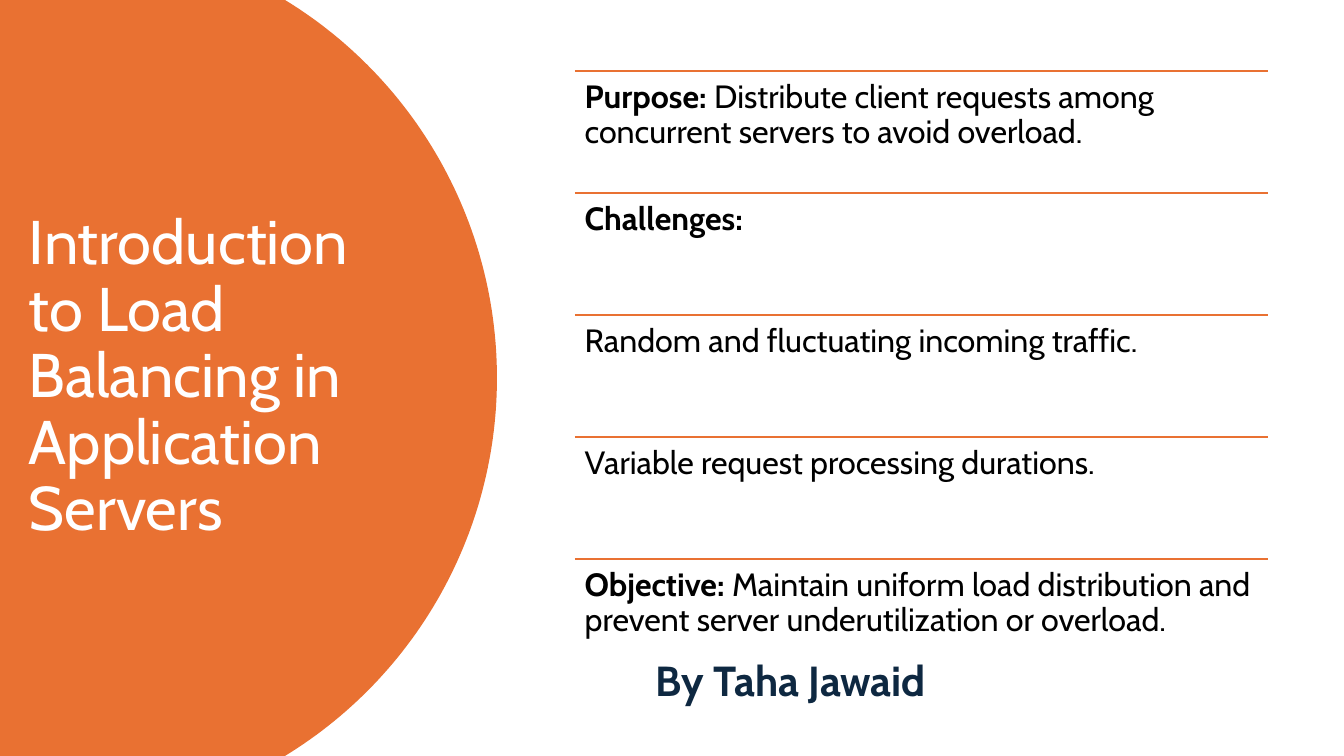
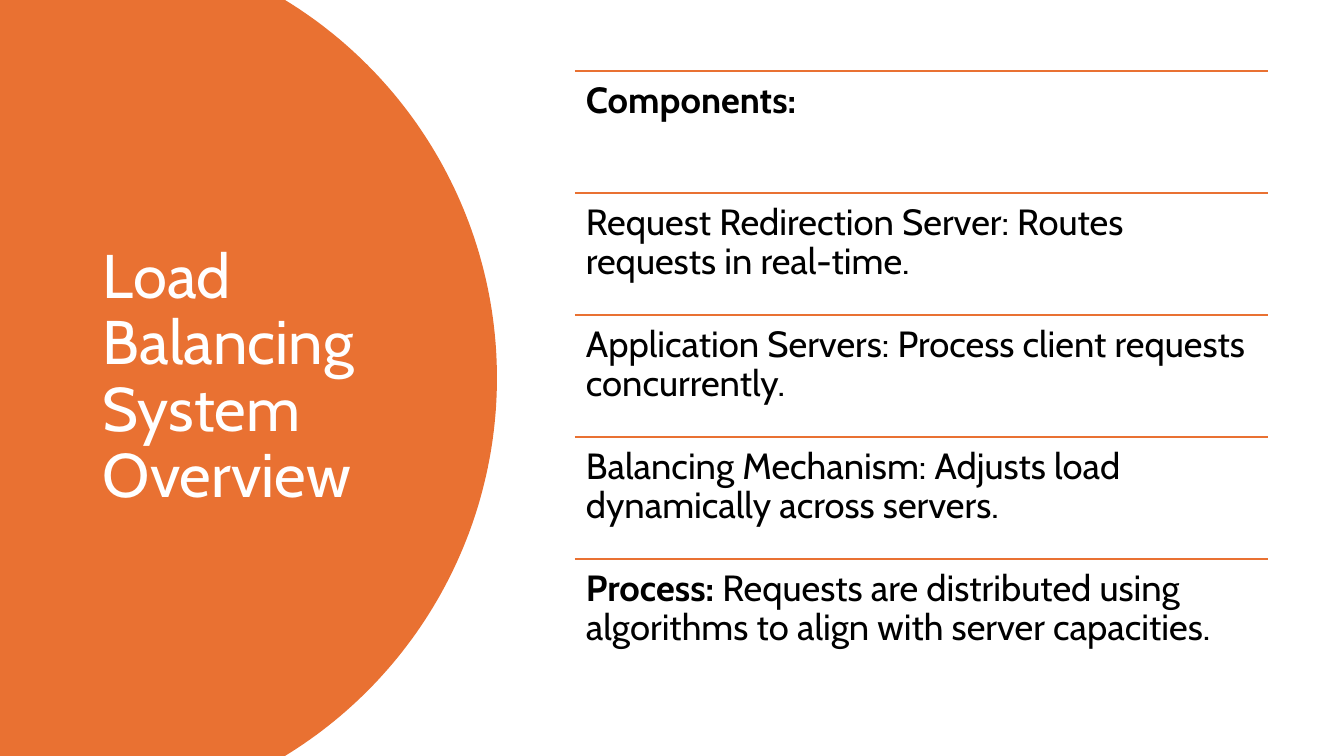
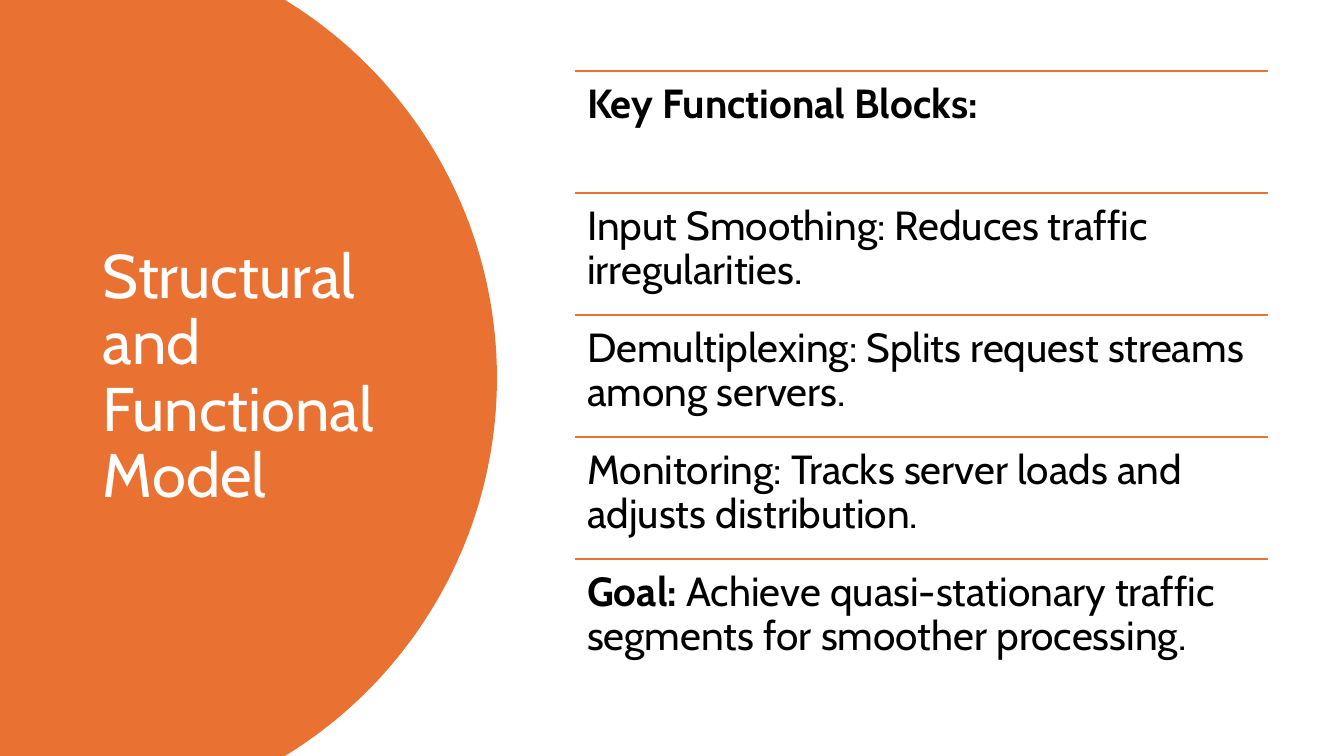
"""Build three slides on load balancing: an orange arc panel beside ruled rows."""
from dataclasses import dataclass
from math import asin, cos, sin

from lxml.etree import SubElement
from pptx import Presentation
from pptx.dml.color import RGBColor as RGB
from pptx.enum.shapes import MSO_CONNECTOR as CONN
from pptx.enum.text import MSO_ANCHOR as ANCHOR
from pptx.oxml.ns import qn
from pptx.util import Emu, Pt

SLIDES = [
    {"title": "Introduction to Load Balancing in Application Servers",
     "title_left": 19, "size": 23, "byline": "By Taha Jawaid",
     "rows": [
         ("Purpose:", " Distribute client requests among concurrent servers to avoid overload."),
         ("Challenges:", ""),
         ("", "Random and fluctuating incoming traffic."),
         ("", "Variable request processing durations."),
         ("Objective:", " Maintain uniform load distribution and prevent server "
                        "underutilization or overload."),
     ]},
    {"title": "Load Balancing System Overview",
     "title_left": 93, "size": 26,
     "rows": [
         ("Components:", ""),
         ("", "Request Redirection Server: Routes requests in real-time."),
         ("", "Application Servers: Process client requests concurrently."),
         ("", "Balancing Mechanism: Adjusts load dynamically across servers."),
         ("Process:", " Requests are distributed using algorithms to align with "
                      "server capacities."),
     ]},
    {"title": "Structural and Functional Model",
     "title_left": 93, "size": 29,
     "rows": [
         ("Key Functional Blocks:", ""),
         ("", "Input Smoothing: Reduces traffic irregularities."),
         ("", "Demultiplexing: Splits request streams among servers."),
         ("", "Monitoring: Tracks server loads and adjusts distribution."),
         ("Goal:", " Achieve quasi-stationary traffic segments for smoother processing."),
     ]},
]


@dataclass(frozen=True)
class Theme:
    """Colours, font and type sizes."""
    accent: RGB = RGB(0xE9, 0x71, 0x32)
    title: RGB = RGB(0xFF, 0xFF, 0xFF)
    body: RGB = RGB(0, 0, 0)
    byline: RGB = RGB(0x0E, 0x28, 0x41)
    font: str = "Cabin"
    title_size: int = 44
    byline_size: int = 30
    rule: float = 1.5
    spacing: float = 0.9
    inset_ratio: float = 0.3


T = Theme()
W, H = 1344, 756
SCALE = 12192000 / W
PANEL_EDGE, PANEL_TIP, ARC_STEPS = 285, 497, 120
TITLE_TOP, TITLE_RIGHT, TITLE_H = 71, 418, 614
ROW_LEFT, ROW_TOP, ROW_W, ROW_H = 575, 71, 693, 122
BYLINE_BOX = 646, 650, 401, 61


def px(n):
    return Emu(round(n * SCALE))


def add_panel(s):
    depth, half = PANEL_TIP - PANEL_EDGE, H / 2
    radius = (depth ** 2 + half ** 2) / (2 * depth)
    sweep = asin(half / radius)
    angles = [sweep * (2 * i / ARC_STEPS - 1) for i in range(ARC_STEPS + 1)]
    arc = [(px(PANEL_TIP - radius + radius * cos(a)), px(half + radius * sin(a)))
           for a in angles]
    builder = s.shapes.build_freeform(0, 0)
    builder.add_line_segments(arc + [(0, px(H))], close=True)
    sp = builder.convert_to_shape()
    sp.shadow.inherit = False
    sp.fill.solid()
    sp.fill.fore_color.rgb = T.accent
    sp.line.fill.background()


def add_text(s, box, runs, size, color, spacing=T.spacing, anchor=ANCHOR.TOP, inset=None):
    tf = s.shapes.add_textbox(*map(px, box)).text_frame
    tf.word_wrap = True
    tf.vertical_anchor = anchor
    if inset is not None:
        tf.margin_left = tf.margin_top = tf.margin_right = tf.margin_bottom = inset
    p = tf.paragraphs[0]
    p.line_spacing = spacing
    for text, bold in runs:
        if text:
            r = p.add_run()
            r.text = text
            r.font.name, r.font.size, r.font.bold = T.font, Pt(size), bold
            r.font.color.rgb = color


def add_rule(s, y):
    line = s.shapes.add_connector(
        CONN.STRAIGHT, px(ROW_LEFT), px(y), px(ROW_LEFT + ROW_W), px(y))
    line.line.color.rgb = T.accent
    line.line.width = Pt(T.rule)
    SubElement(line._element.spPr, qn("a:effectLst"))


def add_rows(s, rows, size):
    for i, (label, text) in enumerate(rows):
        y = ROW_TOP + i * ROW_H
        add_rule(s, y)
        add_text(s, (ROW_LEFT, y, ROW_W, ROW_H), [(label, True), (text, False)],
                 size, T.body, inset=Pt(size * T.inset_ratio))


def main():
    prs = Presentation()
    prs.slide_width, prs.slide_height = px(W), px(H)
    for data in SLIDES:
        s = prs.slides.add_slide(prs.slide_layouts[6])
        add_panel(s)
        left = data["title_left"]
        add_text(s, (left, TITLE_TOP, TITLE_RIGHT - left, TITLE_H),
                 [(data["title"], False)], T.title_size, T.title, anchor=ANCHOR.MIDDLE)
        add_rows(s, data["rows"], data["size"])
        if "byline" in data:
            add_text(s, BYLINE_BOX, [(data["byline"], True)],
                     T.byline_size, T.byline, spacing=1.0)
    prs.save("out.pptx")


if __name__ == "__main__":
    main()
